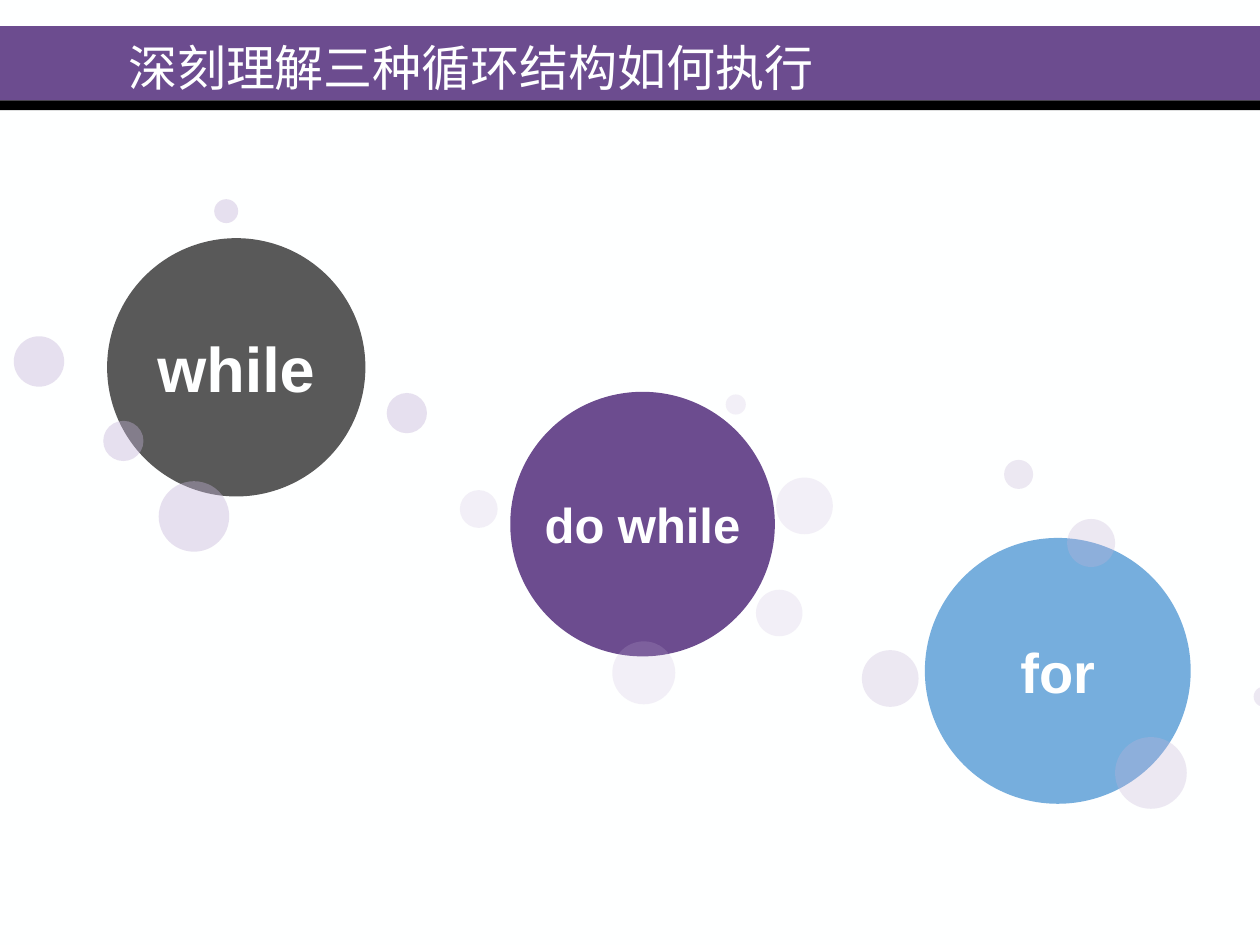
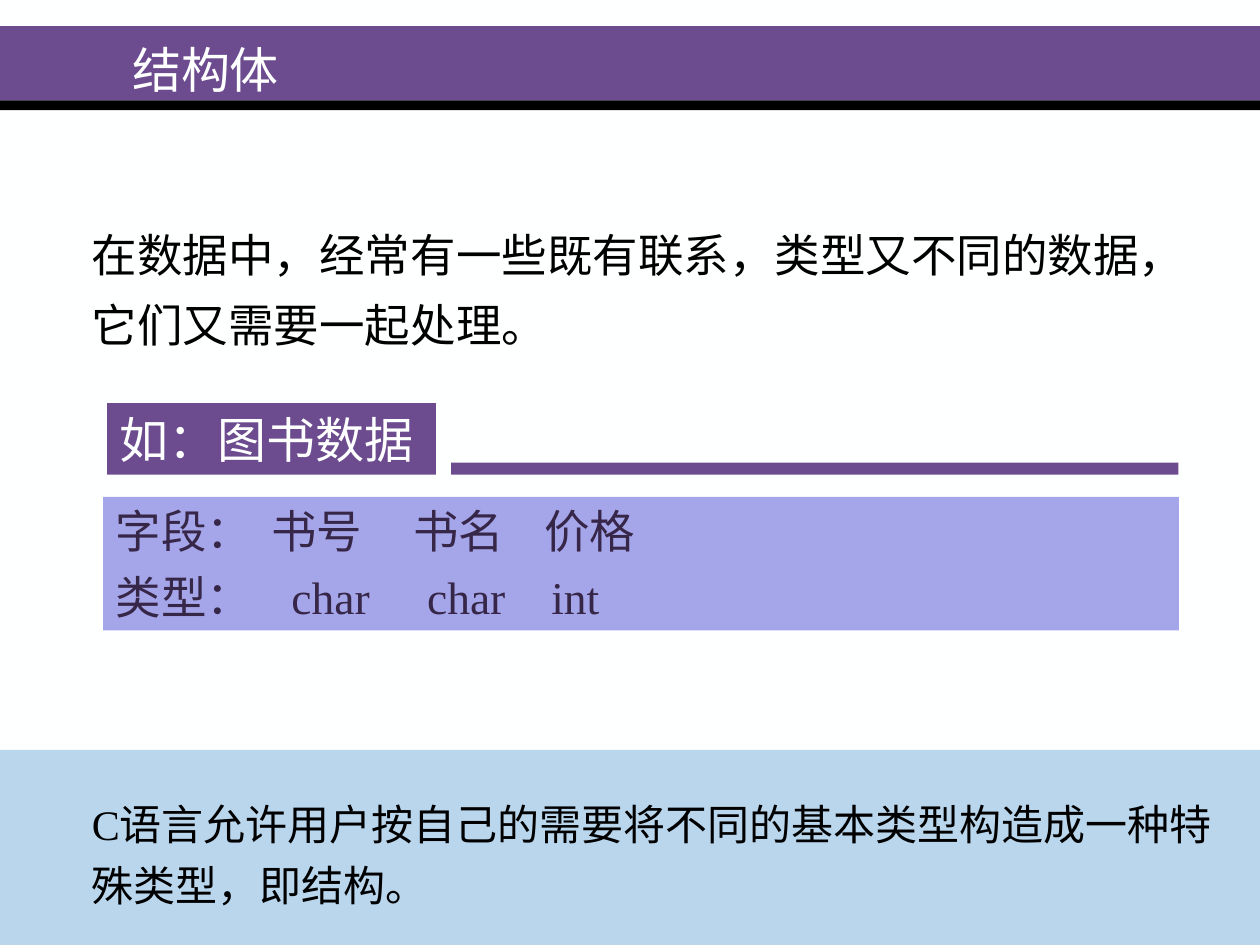
from pptx import Presentation
from pptx.dml.color import RGBColor
from pptx.enum.shapes import MSO_SHAPE as Preset
from pptx.enum.text import MSO_ANCHOR as Anchor, PP_ALIGN as Align
from pptx.oxml.xmlchemy import OxmlElement
from pptx.util import Pt

COLORS = {
    "paper": "FEFFFF",
    "purple": "6C4C8F",
    "black": "000000",
    "blue": "76AEDD",
    "grey": "595959",
    "bubble": "C4B3D7",
    "lavender": "A5A5E9",
    "plum": "362647",
}
WIDTH, HEIGHT = 720, 540
SERIF, SANS = "Times New Roman", "Arial"
INSETS = (7.2, 3.6)

CLUSTERS = [
    {"label": "do while", "size": 28, "color": "purple", "circle": (291.6, 223.9, 151.2), "alpha": 20,
     "bubbles": [(262.8, 280.1, 21.6), (349.9, 366.5, 36), (414.7, 225.4, 11.5),
                 (432, 337, 26.6), (443.5, 272.9, 32.4)]},
    {"label": "for", "size": 32, "color": "blue", "circle": (528.5, 307.4, 151.9), "alpha": 30,
     "bubbles": [(492.5, 371.5, 32.4), (573.8, 262.8, 16.6), (637.2, 421.2, 41),
                 (716.4, 392.4, 11.5), (609.8, 296.6, 27.4)]},
    {"label": "while", "size": 36, "color": "grey", "circle": (61.2, 136.1, 147.6), "alpha": 40,
     "bubbles": [(221, 224.6, 23), (59, 240.5, 23), (90.7, 275, 40.3),
                 (122.4, 113.8, 13.7), (7.9, 192.2, 28.8)]},
]


def rgb(name):
    """Return the named colour."""
    return RGBColor.from_string(COLORS[name])


def add_tabs(paragraph, positions):
    """Give a paragraph left tab stops, in points."""
    tab_list = OxmlElement("a:tabLst")
    for position in positions:
        tab = OxmlElement("a:tab")
        tab.set("pos", str(Pt(position)))
        tab.set("algn", "l")
        tab_list.append(tab)
    paragraph._p.get_or_add_pPr().append(tab_list)


def write(shape, text, size=28, color="paper", font=SERIF, bold=False, align=Align.LEFT,
          anchor=Anchor.TOP, insets=INSETS, wrap=True, gap=0, spacing=None, tabs=()):
    """Fill a shape with one paragraph per line of text."""
    frame = shape.text_frame
    frame.word_wrap = wrap
    frame.vertical_anchor = anchor
    frame.margin_left = frame.margin_right = Pt(insets[0])
    frame.margin_top = frame.margin_bottom = Pt(insets[1])
    for index, line in enumerate(text.split("\n")):
        paragraph = frame.add_paragraph() if index else frame.paragraphs[0]
        if tabs:
            add_tabs(paragraph, tabs[index])
        paragraph.alignment = align
        if index and gap:
            paragraph.space_before = Pt(gap)
        if spacing:
            paragraph.line_spacing = spacing
        run = paragraph.add_run()
        run.text = line
        run.font.name = font
        run.font.size = Pt(size)
        run.font.bold = bold
        run.font.color.rgb = rgb(color)


def add_block(slide, left, top, width, height, color, preset=Preset.RECTANGLE, alpha=None):
    """Add a flat shape without outline, optionally see-through."""
    shape = slide.shapes.add_shape(preset, Pt(left), Pt(top), Pt(width), Pt(height))
    shape.shadow.inherit = False
    shape.line.fill.background()
    shape.fill.solid()
    shape.fill.fore_color.rgb = rgb(color)
    if alpha is not None:
        opacity = OxmlElement("a:alpha")
        opacity.set("val", str(alpha * 1000))
        shape.fill._xPr.solidFill[0].append(opacity)
    return shape


def add_text(slide, left, top, width, height, text, **text_format):
    """Add a formatted text box."""
    box = slide.shapes.add_textbox(Pt(left), Pt(top), Pt(width), Pt(height))
    write(box, text, **text_format)


def add_slide(presentation, title, title_box):
    """Add a slide with the shared background, band and title."""
    slide = presentation.slides.add_slide(presentation.slide_layouts[6])
    slide.background.fill.solid()
    slide.background.fill.fore_color.rgb = rgb("paper")
    add_block(slide, 0, 15, WIDTH, 42.4, "purple")
    add_block(slide, 0, 57.4, WIDTH, 5.6, "black")
    add_text(slide, *title_box, title, anchor=Anchor.MIDDLE)
    return slide


def add_cluster(slide, label, size, color, circle, alpha, bubbles):
    """Add a labelled circle surrounded by pale bubbles."""
    left, top, diameter = circle
    disc = add_block(slide, left, top, diameter, diameter, color, Preset.OVAL)
    write(disc, label, size=size, font=SANS, bold=True, align=Align.CENTER,
          anchor=Anchor.MIDDLE, insets=(0, 0), wrap=False)
    for left, top, diameter in bubbles:
        add_block(slide, left, top, diameter, diameter, "bubble", Preset.OVAL, alpha)


def add_loops_slide(presentation):
    """Build the slide on the three loops."""
    slide = add_slide(presentation, "深刻理解三种循环结构如何执行", (66.2, 20.2, 504, 36))
    for cluster in CLUSTERS:
        add_cluster(slide, **cluster)


def add_structure_slide(presentation):
    """Build the slide on structures."""
    slide = add_slide(presentation, "结构体", (68.4, 16.6, 242, 45.4))
    add_block(slide, 0, 428.6, WIDTH, HEIGHT - 428.6, "blue", alpha=50)
    add_text(slide, 45.4, 116.6, 646.6, 88.6,
             "在数据中，经常有一些既有联系，类型又不同的数据，它们又需要一起处理。",
             size=26, color="black", spacing=1.3)
    heading = add_block(slide, 61.2, 230.4, 188, 40.8, "purple")
    write(heading, "如：图书数据", wrap=False)
    fields = add_block(slide, 59, 284, 614.7, 76.3, "lavender")
    write(fields, "字段：\t书号\t书名\t价格\n类型：\tchar\tchar\tint", size=26, color="plum",
          gap=6.5, tabs=[(89, 170, 245), (100.5, 178, 249)])
    add_text(slide, 45.4, 452.9, 665.3, 71.3,
             "C语言允许用户按自己的需要将不同的基本类型构造成一种特\n殊类型，即结构。",
             size=24, color="black", gap=6)
    add_block(slide, 257.8, 264.3, 415.6, 7, "purple")


def main():
    """Build and save the presentation."""
    presentation = Presentation()
    presentation.slide_width, presentation.slide_height = Pt(WIDTH), Pt(HEIGHT)
    add_loops_slide(presentation)
    add_structure_slide(presentation)
    presentation.save("out.pptx")


if __name__ == "__main__":
    main()
